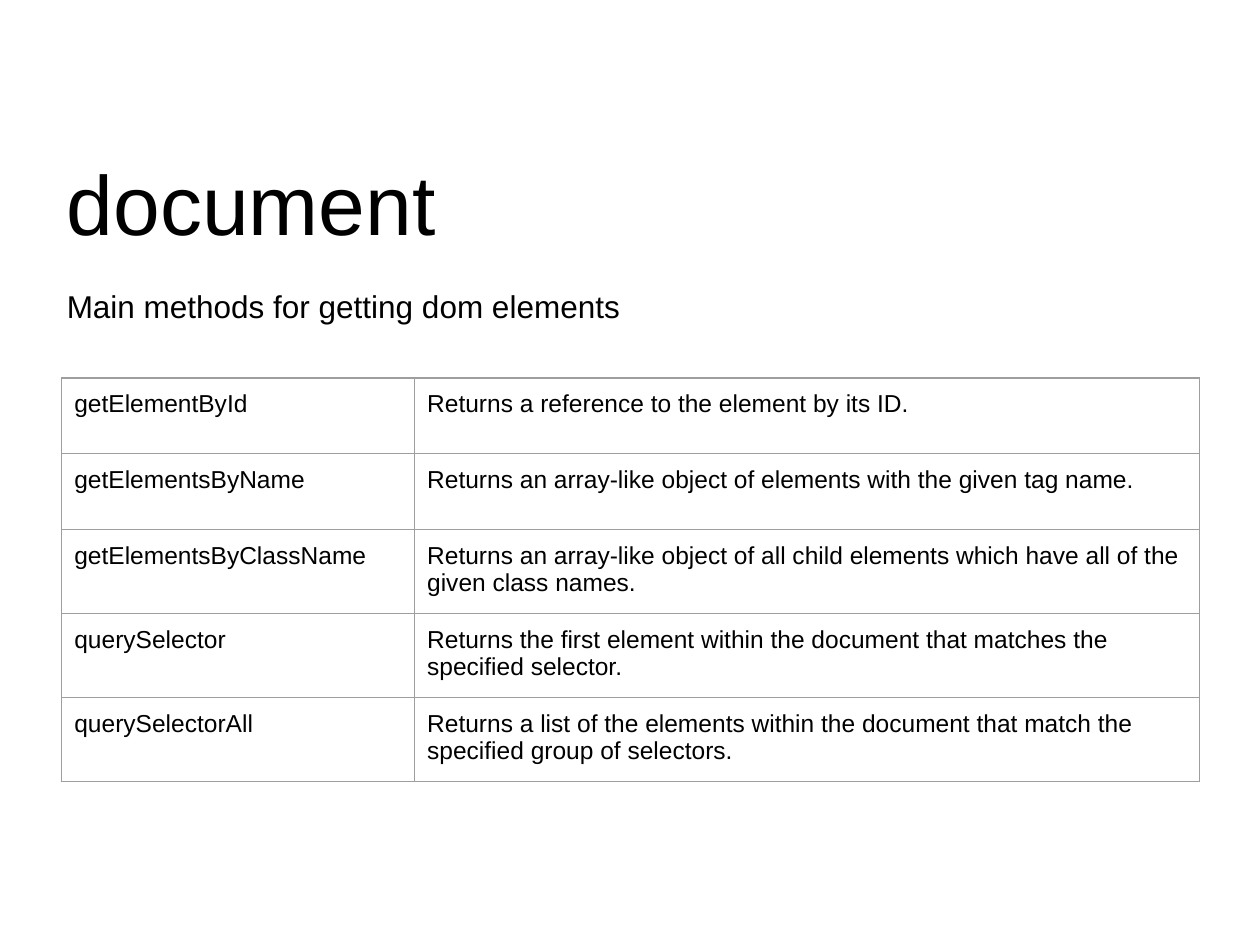
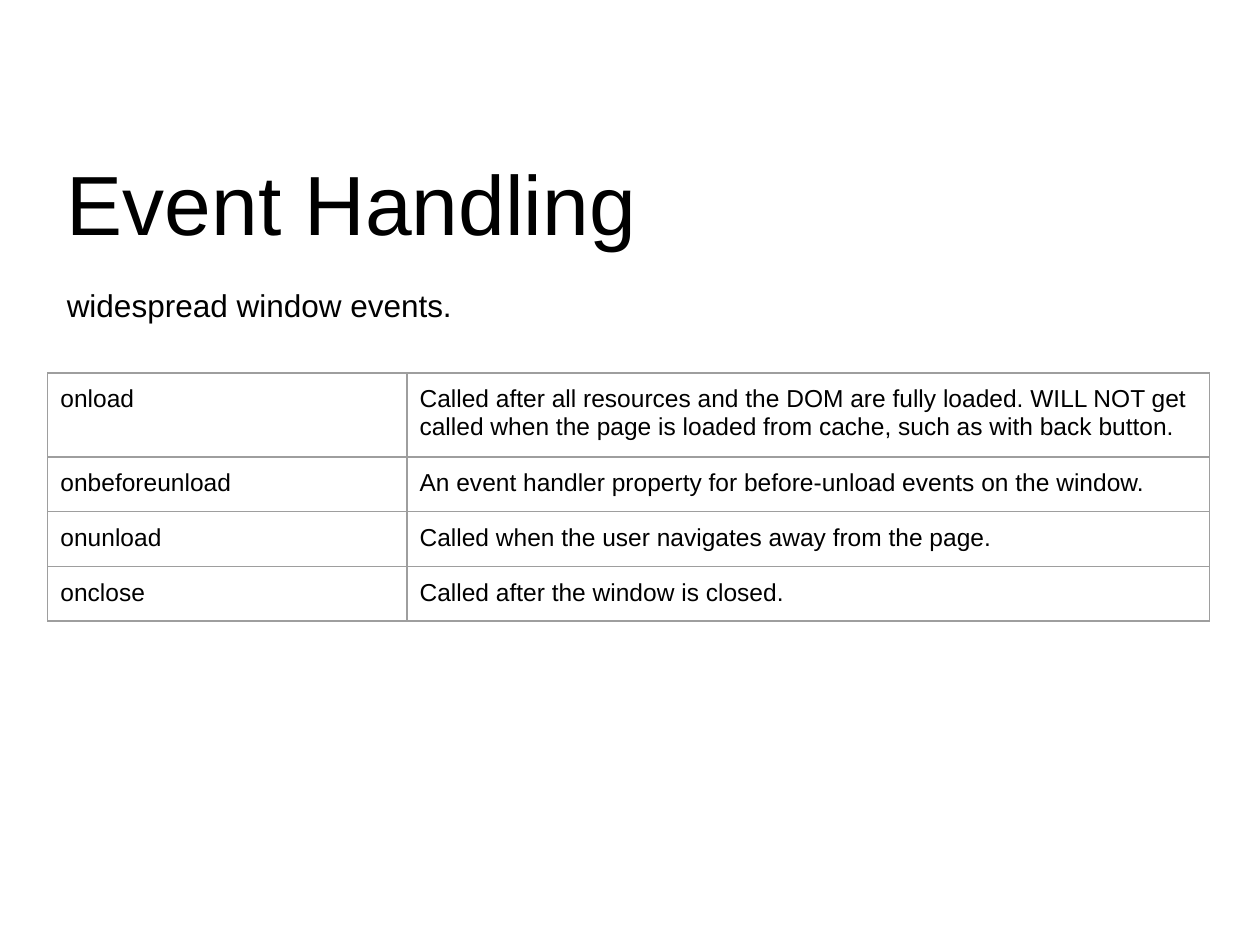
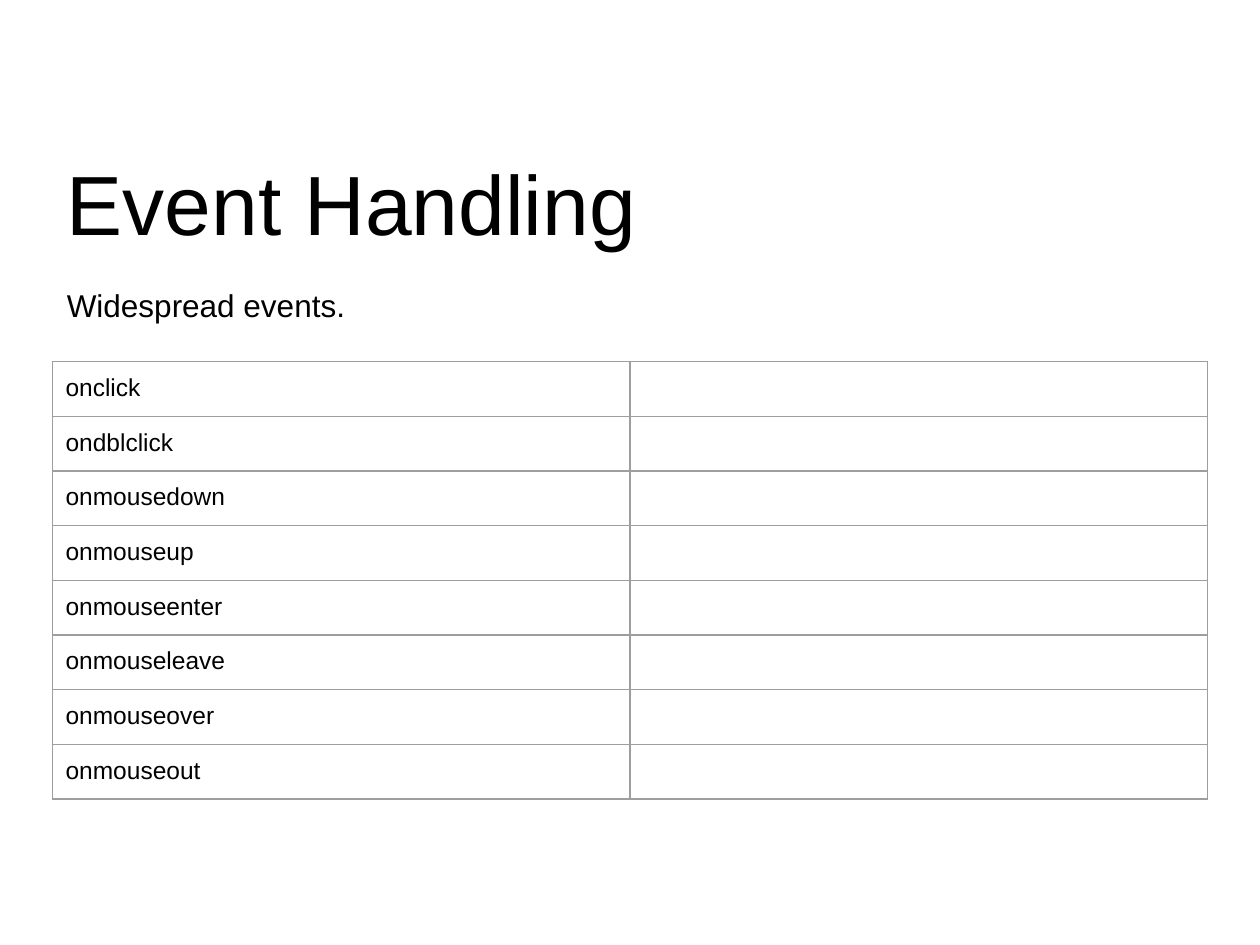
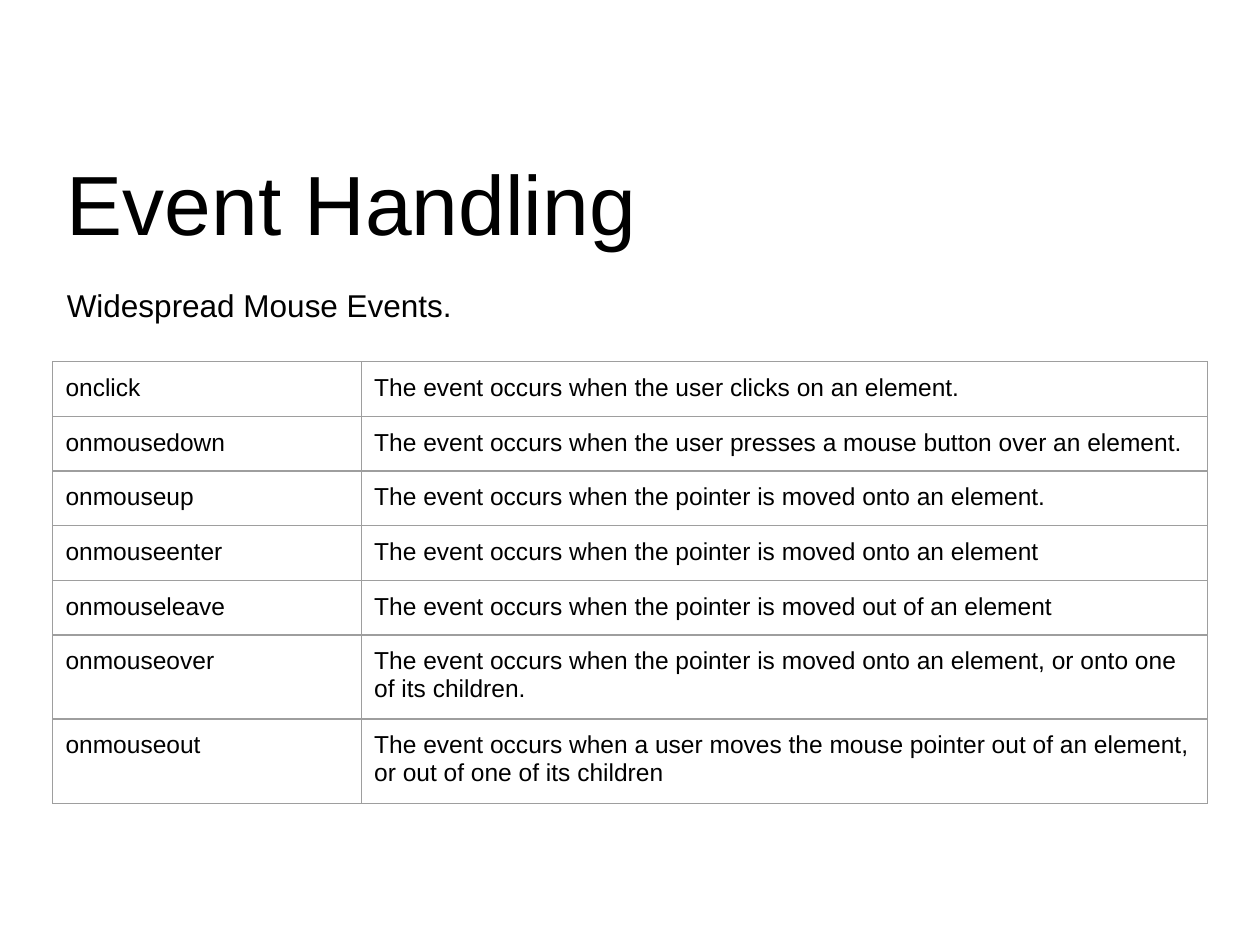
import pptx
import pptx.util
import pptx.dml.color
import pptx.enum.text
import pptx.oxml
import pptx.oxml.ns
from lxml import etree

Inches = pptx.util.Inches
HEX = {"text": "000000", "rule": "9E9E9E"}
FONT = "Arial"
PAD = 0.1
RULE = 0.75
HEAD = (0.43, 1.02, 9.29, 0.94)

PAGES = [
    {
        "head": "document",
        "sub": "Main methods for getting dom elements",
        "box": (0.43, 2.15, 9.03, 0.48),
        "spot": (0.49, 3),
        "cols": (2.8, 6.23),
        "row": 0.6,
        "rows": [
            ("getElementById", "Returns a reference to the element by its ID."),
            ("getElementsByName", "Returns an array-like object of elements with the given tag name."),
            ("getElementsByClassName", "Returns an array-like object of all child elements which have all of the given class names."),
            ("querySelector", "Returns the first element within the document that matches the specified selector."),
            ("querySelectorAll", "Returns a list of the elements within the document that match the specified group of selectors."),
        ],
    },
    {
        "head": "Event Handling",
        "sub": "widespread window events.",
        "box": (0.43, 2.14, 6.43, 0.48),
        "spot": (0.38, 2.96),
        "cols": (2.85, 6.37),
        "row": 0.42,
        "rows": [
            ("onload", "Called after all resources and the DOM are fully loaded. WILL NOT get called when the page is loaded from cache, such as with back button."),
            ("onbeforeunload", "An event handler property for before-unload events on the window."),
            ("onunload", "Called when the user navigates away from the page."),
            ("onclose", "Called after the window is closed."),
        ],
    },
    {
        "head": "Event Handling",
        "sub": "Widespread events.",
        "box": (0.43, 2.14, 9.14, 0.48),
        "spot": (0.42, 2.87),
        "cols": (4.58, 4.58),
        "row": 0.42,
        "rows": [
            ("onclick", ""),
            ("ondblclick", ""),
            ("onmousedown", ""),
            ("onmouseup", ""),
            ("onmouseenter", ""),
            ("onmouseleave", ""),
            ("onmouseover", ""),
            ("onmouseout", ""),
        ],
    },
    {
        "head": "Event Handling",
        "sub": "Widespread Mouse Events.",
        "box": (0.43, 2.14, 9.14, 0.48),
        "spot": (0.42, 2.87),
        "cols": (2.45, 6.71),
        "row": 0.42,
        "rows": [
            ("onclick", "The event occurs when the user clicks on an element."),
            ("onmousedown", "The event occurs when the user presses a mouse button over an element."),
            ("onmouseup", "The event occurs when the pointer is moved onto an element."),
            ("onmouseenter", "The event occurs when the pointer is moved onto an element"),
            ("onmouseleave", "The event occurs when the pointer is moved out of an element"),
            ("onmouseover", "The event occurs when the pointer is moved onto an element, or onto one of its children."),
            ("onmouseout", "The event occurs when a user moves the mouse pointer out of an element, or out of one of its children"),
        ],
    },
]


def write(frame, text, size=14, color="text", lead=None):
    para = frame.paragraphs[0]
    para.alignment = pptx.enum.text.PP_ALIGN.LEFT
    para.space_before = pptx.util.Pt(0)
    if lead:
        para.line_spacing = lead
    if not text:
        end = etree.SubElement(para._p, pptx.oxml.ns.qn("a:endParaRPr"))
        end.set("sz", str(size * 100))
        return
    run = para.add_run()
    run.text = text
    run.font.size = pptx.util.Pt(size)
    run.font.name = FONT
    run.font.color.rgb = pptx.dml.color.RGBColor.from_string(HEX[color])


def inset(part):
    part.margin_left = part.margin_right = Inches(PAD)
    part.margin_top = part.margin_bottom = Inches(PAD)
    part.vertical_anchor = pptx.enum.text.MSO_ANCHOR.TOP


def place(shape, box, text, size):
    shape.left, shape.top, shape.width, shape.height = map(Inches, box)
    frame = shape.text_frame
    inset(frame)
    frame.word_wrap = True
    frame.auto_size = pptx.enum.text.MSO_AUTO_SIZE.SHAPE_TO_FIT_TEXT
    write(frame, text, size=size, lead=1.1)
    props = frame.paragraphs[0]._p.get_or_add_pPr()
    props.set("marL", "0")
    props.set("indent", "0")
    etree.SubElement(props, pptx.oxml.ns.qn("a:buNone"))


def edge(cell):
    props = cell._tc.get_or_add_tcPr()
    for spot, side in enumerate(("lnL", "lnR", "lnT", "lnB")):
        line = pptx.oxml.parse_xml(
            f'<a:{side} {pptx.oxml.ns.nsdecls("a")} w="{pptx.util.Pt(RULE)}">'
            f'<a:solidFill><a:srgbClr val="{HEX["rule"]}"/></a:solidFill></a:{side}>'
        )
        props.insert(spot, line)


def grid(slide, page):
    rows, cols = page["rows"], page["cols"]
    size = (sum(cols), page["row"] * len(rows))
    table = slide.shapes.add_table(
        len(rows), len(cols), *map(Inches, page["spot"] + size)
    ).table
    table.first_row = table.horz_banding = False
    for col, width in zip(table.columns, cols):
        col.width = Inches(width)
    for row, texts in zip(table.rows, rows):
        row.height = Inches(page["row"])
        for cell, text in zip(row.cells, texts):
            inset(cell)
            cell.fill.background()
            edge(cell)
            write(cell.text_frame, text)


def main():
    deck = pptx.Presentation()
    deck.slide_width, deck.slide_height = Inches(10), Inches(7.5)
    for page in PAGES:
        slide = deck.slides.add_slide(deck.slide_layouts[1])
        place(slide.shapes.title, HEAD, page["head"], 48)
        place(slide.placeholders[1], page["box"], page["sub"], 18)
        grid(slide, page)
    deck.save("out.pptx")


if __name__ == "__main__":
    main()
